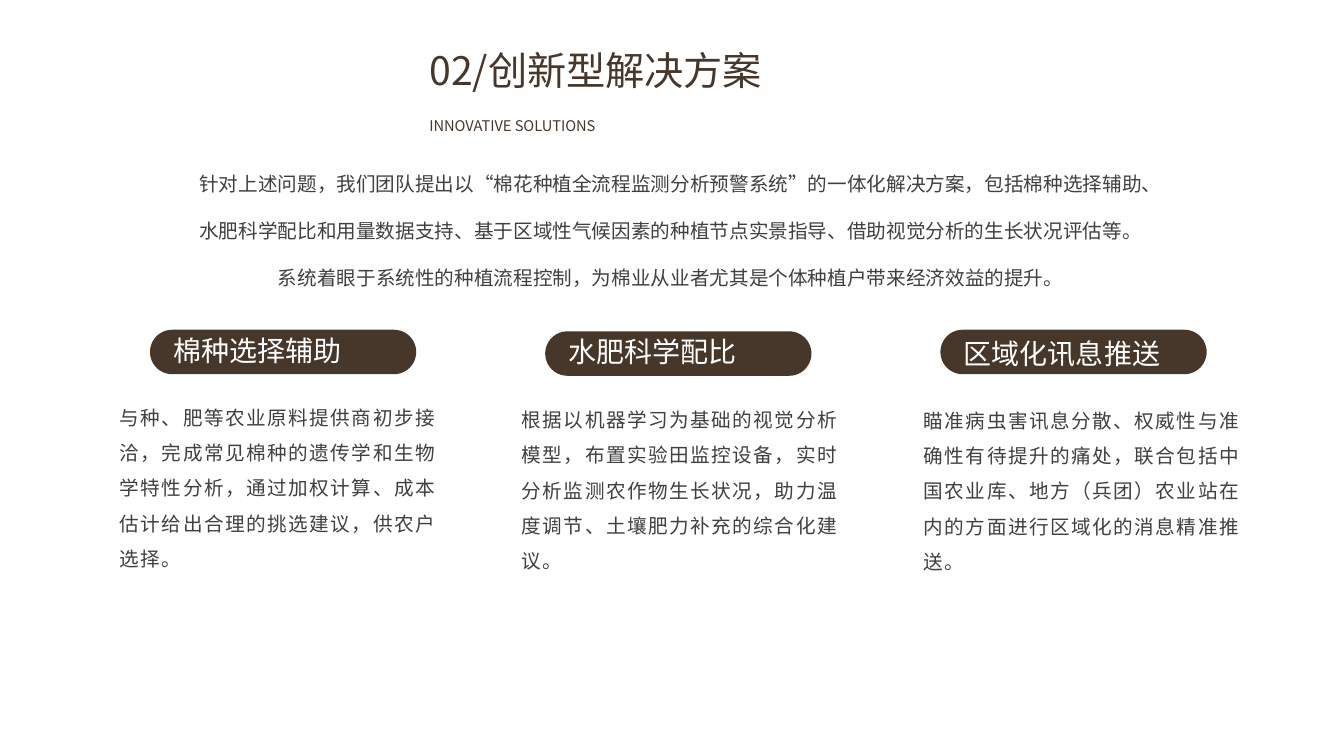
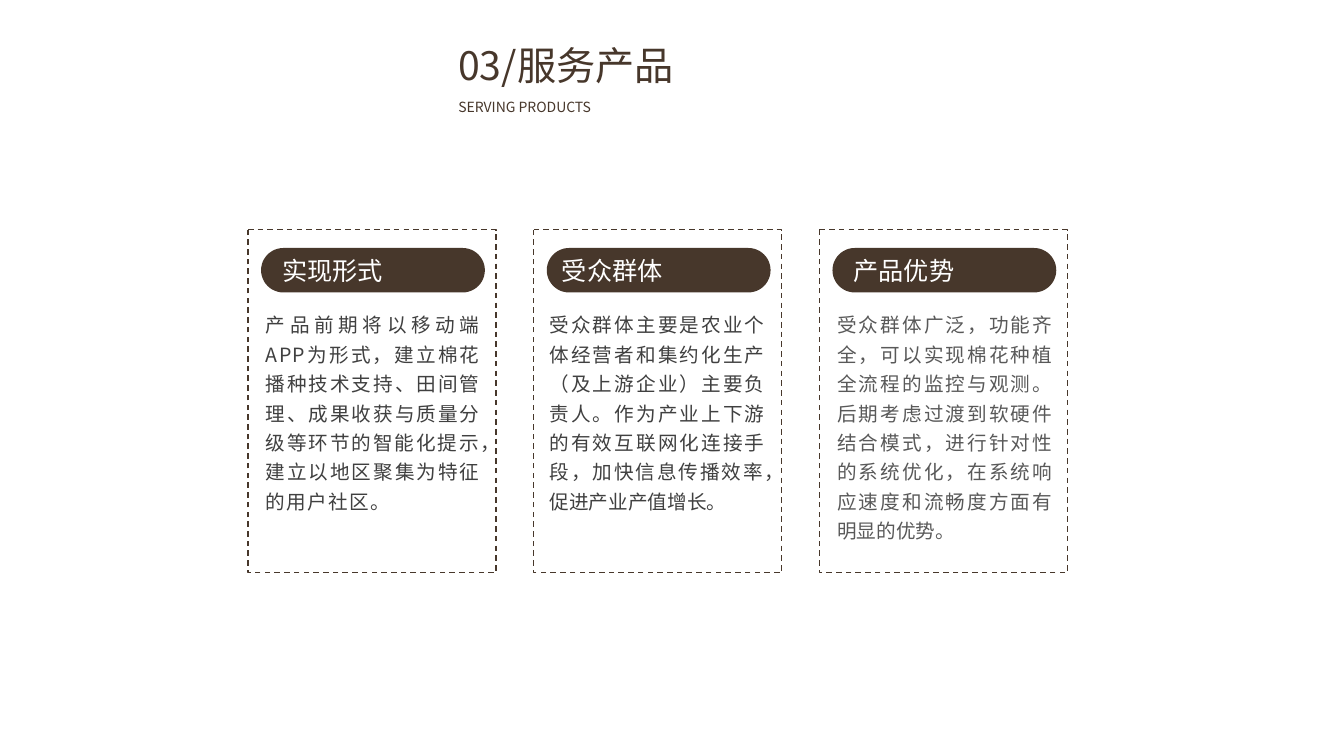
"""Build two slides on cotton-growing solutions and service products."""
from lxml.etree import SubElement
from pptx import Presentation
from pptx.dml.color import RGBColor
from pptx.enum.dml import MSO_LINE
from pptx.enum.lang import MSO_LANGUAGE_ID as Language
from pptx.enum.shapes import MSO_SHAPE as Shape
from pptx.enum.text import MSO_AUTO_SIZE as AutoSize, PP_ALIGN as Align
from pptx.oxml.ns import qn
from pptx.util import Cm, Pt

FONT = "Noto Sans CJK SC"
BROWN, WHITE, DARK, GREY = "47372B", "FFFFFF", "404040", "595959"

TITLE = {"size": 28, "color": BROWN}
SUBTITLE = {"size": 10.5, "color": BROWN}
SMALL_SUBTITLE = {"size": 10, "color": BROWN}
INTRO = {"size": 14, "color": DARK, "alignment": Align.CENTER, "line_spacing": 2.0}
WIDE_LABEL = {"size": 20, "color": WHITE}
CARD_LABEL = {"size": 18, "color": WHITE}
COLUMN_BODY = {"size": 14, "color": DARK, "line_spacing": 1.5, "tracking": 1}
CARD_BODY = {"size": 14, "color": DARK, "line_spacing": Pt(21)}


def add_text(page, place, text, style):
    box = page.shapes.add_textbox(*map(Cm, place))
    frame = box.text_frame
    for name, value in {"word_wrap": True, "auto_size": AutoSize.SHAPE_TO_FIT_TEXT}.items():
        setattr(frame, name, value)
    para = frame.paragraphs[0]
    for name, value in {"alignment": Align.JUSTIFY, "line_spacing": None}.items():
        setattr(para, name, style.get(name, value))
    span = para.add_run()
    span.text = text
    font_values = {"name": FONT, "size": Pt(style["size"]),
                   "language_id": Language.SIMPLIFIED_CHINESE}
    for name, value in font_values.items():
        setattr(span.font, name, value)
    span.font.color.rgb = RGBColor.from_string(style["color"])
    properties = span.font._element
    SubElement(properties, qn("a:ea")).set("typeface", FONT)
    if "tracking" in style:
        properties.set("spc", str(style["tracking"] * 100))


def add_panel(page, place, rounding, fill=None, line=None):
    panel = page.shapes.add_shape(Shape.ROUNDED_RECTANGLE, *map(Cm, place))
    panel.adjustments[0] = rounding
    panel.shadow.inherit = False
    if fill:
        panel.fill.solid()
        panel.fill.fore_color.rgb = RGBColor.from_string(fill)
    else:
        panel.fill.background()
    if line:
        panel.line.color.rgb = RGBColor.from_string(line)
        for name, value in {"width": Pt(1), "dash_style": MSO_LINE.DASH}.items():
            setattr(panel.line, name, value)
    else:
        panel.line.fill.background()


deck = Presentation()
deck.slide_width, deck.slide_height = Cm(33.87), Cm(19.05)
blank = deck.slide_layouts[6]

page = deck.slides.add_slide(blank)
add_text(page, (10.57, 1.04, 12.75, 1.45), "02/创新型解决方案", TITLE)
add_text(page, (10.57, 2.82, 12.47, 0.71), "INNOVATIVE SOLUTIONS", SUBTITLE)
add_text(
    page, (4.72, 3.61, 24.38, 3.66),
    "针对上述问题，我们团队提出以“棉花种植全流程监测分析预警系统”的一体化解决方案，"
    "包括棉种选择辅助、水肥科学配比和用量数据支持、基于区域性气候因素的种植节点实景指导、"
    "借助视觉分析的生长状况评估等。系统着眼于系统性的种植流程控制，"
    "为棉业从业者尤其是个体种植户带来经济效益的提升。", INTRO)

columns = [
    ("棉种选择辅助", 8.31, 8.28, 9.8,
     "与种、肥等农业原料提供商初步接洽，完成常见棉种的遗传学和生物学特性分析，"
     "通过加权计算、成本估计给出合理的挑选建议，供农户选择。"),
    ("水肥科学配比", 8.35, 8.31, 9.86,
     "根据以机器学习为基础的视觉分析模型，布置实验田监控设备，"
     "实时分析监测农作物生长状况，助力温度调节、土壤肥力补充的综合化建议。"),
    ("区域化讯息推送", 8.31, 8.36, 9.88,
     "瞄准病虫害讯息分散、权威性与准确性有待提升的痛处，"
     "联合包括中国农业库、地方（兵团）农业站在内的方面进行区域化的消息精准推送。"),
]
for index, (label, pill_top, label_top, body_top, body) in enumerate(columns):
    pill_left = 3.78 + index * 9.96
    add_panel(page, (pill_left, pill_top, 6.71, 1.12), 0.5, fill=BROWN)
    add_text(page, (2.77 + index * 10.13, body_top, 8.48, 4.65), body, COLUMN_BODY)
    add_text(page, (pill_left + 0.34, label_top, 6.03, 1.12), label, WIDE_LABEL)

page = deck.slides.add_slide(blank)
add_text(page, (11.3, 0.91, 9.04, 1.45), "03/服务产品", TITLE)
add_text(page, (11.3, 2.36, 9.04, 0.69), "SERVING PRODUCTS", SMALL_SUBTITLE)

cards = [
    ("实现形式", 0.61, 0.2, {"tracking": 1},
     "产品前期将以移动端APP为形式，建立棉花播种技术支持、田间管理、"
     "成果收获与质量分级等环节的智能化提示，建立以地区聚集为特征的用户社区。"),
    ("受众群体", 0.46, 0.15, {},
     "受众群体主要是农业个体经营者和集约化生产（及上游企业）主要负责人。"
     "作为产业上下游的有效互联网化连接手段，加快信息传播效率，促进产业产值增长。"),
    ("产品优势", 0.61, 0.2, {"color": GREY},
     "受众群体广泛，功能齐全，可以实现棉花种植全流程的监控与观测。"
     "后期考虑过渡到软硬件结合模式，进行针对性的系统优化，"
     "在系统响应速度和流畅度方面有明显的优势。"),
]
for index, (label, label_inset, body_inset, changes, body) in enumerate(cards):
    left = 6.25 + index * 7.2
    add_text(page, (left + body_inset, 7.62, 5.92, 5.44), body, CARD_BODY | changes)
    add_panel(page, (left, 5.79, 6.25, 8.64), 0, line=BROWN)
    add_panel(page, (left + 0.33, 6.25, 5.64, 1.12), 0.5, fill=BROWN)
    add_text(page, (left + label_inset, 6.3, 5.11, 1.02), label, CARD_LABEL)

deck.save("out.pptx")
